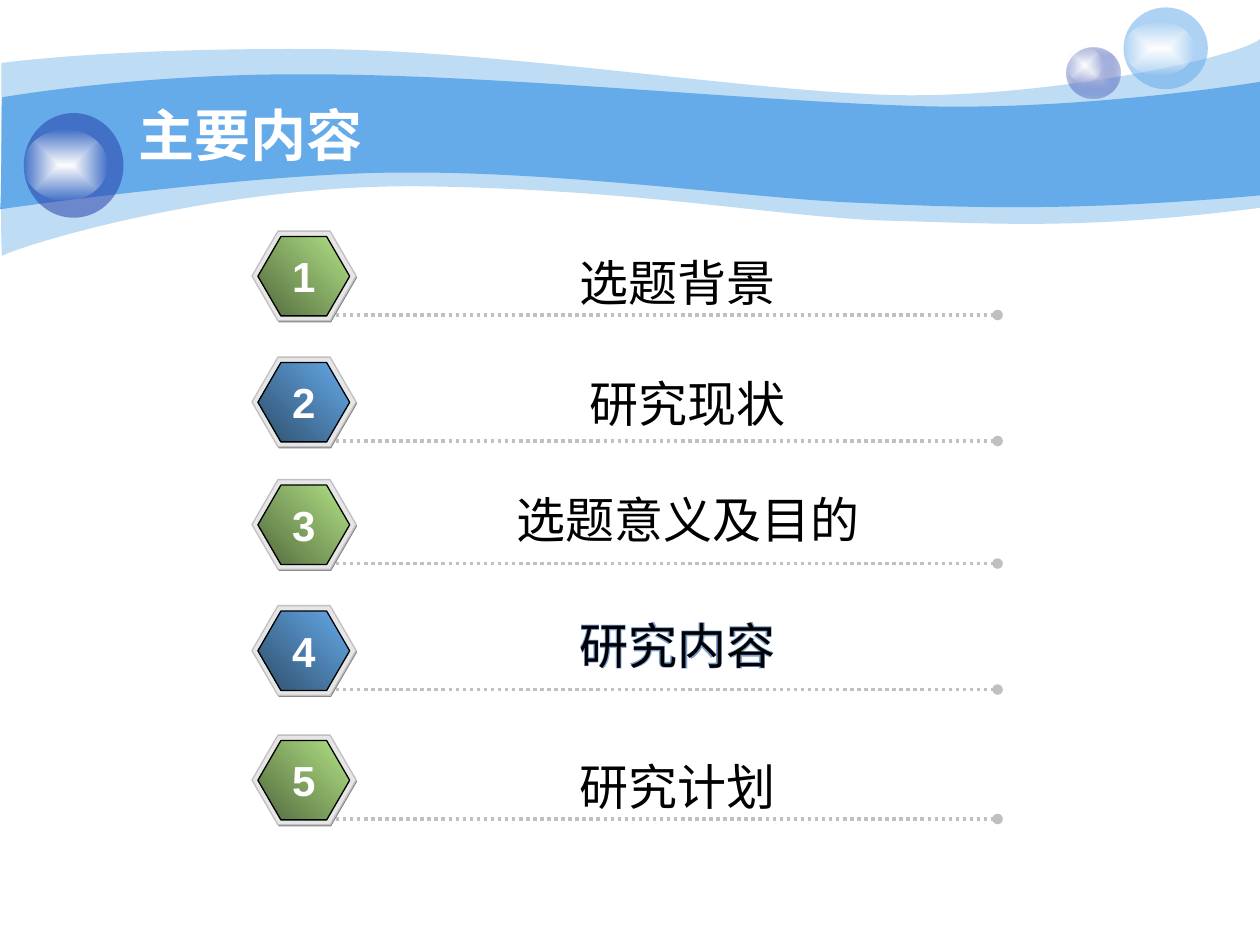
from dataclasses import dataclass
from typing import Optional

from lxml.etree import SubElement
from pptx import Presentation
from pptx.dml.color import RGBColor
from pptx.enum.dml import MSO_LINE
from pptx.enum.shapes import MSO_CONNECTOR, MSO_SHAPE
from pptx.enum.text import MSO_ANCHOR, PP_ALIGN
from pptx.oxml.ns import qn
from pptx.util import Cm, Pt

WHITE = RGBColor(0xFF, 0xFF, 0xFF)
BLACK = RGBColor(0x00, 0x00, 0x00)
SKY = RGBColor(0x65, 0xAA, 0xE9)
NAVY = RGBColor(0x23, 0x3D, 0xA9)
LAVENDER = RGBColor(0xC7, 0xCE, 0xE9)
HALO_BLUE = RGBColor(0x7D, 0xA0, 0xD3)
SILVER = RGBColor(0xC0, 0xC0, 0xC0)
PALE_GRAY = RGBColor(0xE6, 0xE6, 0xE6)
SHADE_GRAY = RGBColor(0x80, 0x80, 0x80)
GREEN = (RGBColor(0xB2, 0xE3, 0x85), RGBColor(0x52, 0x69, 0x3E))
BLUE = (SKY, RGBColor(0x2F, 0x4F, 0x6C))
FONT = "Arial"


@dataclass
class Box:
    left: float
    top: float
    width: float
    height: float

    def lengths(self) -> tuple:
        return Cm(self.left), Cm(self.top), Cm(self.width), Cm(self.height)


@dataclass
class Bubble:
    body: Box
    glint: Box
    colors: tuple
    alphas: tuple


@dataclass
class Topic:
    text: str
    top: float
    label_left: float
    label_top: float
    halo: Optional[RGBColor] = None


UPPER_WAVE = (
    [(0.03, 1.27), (0.64, 1.19), (2.74, 0.97), (6.27, 0.99), (9.8, 0.99), (14.63, 1.78),
     (17.75, 1.91), (20.88, 2.03), (24.89, 1.19), (25.4, 0.79)],
    [(25.4, 4.19), (21.79, 4.65), (20.02, 4.5), (17.91, 4.45), (15.8, 4.39), (13.08, 3.84),
     (8.74, 3.76), (4.37, 3.66), (0.13, 5.05), (0.05, 5.16), (0, 5.28), (0.03, 1.9), (0.03, 1.27)],
)
LOWER_WAVE = (
    [(0.05, 1.96), (0.08, 1.96), (2.82, 1.47), (6.32, 1.5), (9.83, 1.5), (15.14, 2.03),
     (18.26, 2.13), (21.36, 2.26), (24.79, 1.75), (25.4, 1.65)],
    [(25.4, 3.94), (21.67, 4.27), (19.46, 4.19), (17.32, 4.09), (15.21, 4.01), (11.38, 3.45),
     (8.08, 3.48), (5.18, 3.48), (-0.03, 4.22), (0, 4.22), (0.03, 4.22), (0.03, 1.96), (0.05, 1.96)],
)
BUBBLES = [
    Bubble(Box(21.51, 0.97, 1.07, 1.02), Box(21.51, 0.97, 0.71, 0.69), (LAVENDER, NAVY), (100, 31)),
    Bubble(Box(22.65, 0.15, 1.7, 1.65), Box(22.65, 0.43, 1.42, 1.09), (SKY,), (53,)),
    Bubble(Box(0.48, 2.28, 2.01, 2.11), Box(0.48, 2.62, 1.68, 1.42), (NAVY,), (53,)),
]
TOPICS = [
    Topic("选题背景", 4.66, 7.41, 4.96),
    Topic("研究现状", 7.2, 7.61, 7.41),
    Topic("选题意义及目的", 9.67, 7.62, 9.74),
    Topic("研究内容", 12.21, 7.41, 12.28, HALO_BLUE),
    Topic("研究计划", 14.82, 7.41, 15.12),
]


def set_alphas(shape, alphas: tuple) -> None:
    for color, alpha in zip(shape.element.spPr.iter(qn("a:srgbClr")), alphas):
        SubElement(color, qn("a:alpha")).set("val", str(alpha * 1000))


def fill_gradient(shape, colors: tuple) -> None:
    shape.fill.gradient()
    for stop, color in zip(shape.fill.gradient_stops, colors):
        stop.color.rgb = color


def make_gradient_rectangular(shape) -> None:
    gradient = shape.element.spPr.find(qn("a:gradFill"))
    gradient.remove(gradient.find(qn("a:lin")))
    center = SubElement(gradient, qn("a:path"))
    center.set("path", "rect")
    rectangle = SubElement(center, qn("a:fillToRect"))
    for side in "ltrb":
        rectangle.set(side, "50000")


def bend_segments(shape, edges: tuple) -> None:
    segments = list(shape.element.spPr.iter(qn("a:lnTo")))
    first_length = len(edges[0]) - 1
    for chain in (segments[:first_length], segments[first_length + 1:]):
        for index in range(0, len(chain), 3):
            curve, *followers = chain[index:index + 3]
            bezier = curve.makeelement(qn("a:cubicBezTo"))
            curve.addprevious(bezier)
            for segment in (curve, *followers):
                bezier.append(segment.find(qn("a:pt")))
                segment.getparent().remove(segment)


def draw_wave(slide, edges: tuple, alpha: int) -> None:
    points = [(Cm(x), Cm(y)) for edge in edges for x, y in edge]
    builder = slide.shapes.build_freeform(*points[0])
    builder.add_line_segments(points[1:], close=True)
    wave = builder.convert_to_shape()
    bend_segments(wave, edges)
    wave.shadow.inherit = False
    wave.fill.solid()
    wave.fill.fore_color.rgb = SKY
    wave.line.fill.background()
    if alpha < 100:
        set_alphas(wave, (alpha,))


def draw_preset(group, kind: MSO_SHAPE, box: Box, colors: tuple, line: Optional[RGBColor] = None):
    shape = group.shapes.add_shape(kind, *box.lengths())
    shape.shadow.inherit = False
    if len(colors) == 1:
        shape.fill.solid()
        shape.fill.fore_color.rgb = colors[0]
    else:
        fill_gradient(shape, colors)
    if line is None:
        shape.line.fill.background()
    else:
        shape.line.color.rgb = line
        shape.line.width = Pt(0.75)
    return shape


def draw_bubble(slide, bubble: Bubble) -> None:
    group = slide.shapes.add_group_shape()
    for box, colors, alphas in (
        (bubble.body, bubble.colors, bubble.alphas),
        (bubble.glint, (WHITE, WHITE), (100, 0)),
    ):
        ellipse = draw_preset(group, MSO_SHAPE.OVAL, box, colors)
        set_alphas(ellipse, alphas)
        if len(colors) == 2:
            make_gradient_rectangular(ellipse)


def draw_text(slide, text: str, box: Box, size: int, color: RGBColor, bold: bool = False,
              alignment: PP_ALIGN = PP_ALIGN.CENTER, wrap: bool = True,
              anchor: MSO_ANCHOR = MSO_ANCHOR.TOP) -> None:
    frame = slide.shapes.add_textbox(*box.lengths()).text_frame
    frame.word_wrap = wrap
    frame.vertical_anchor = anchor
    paragraph = frame.paragraphs[0]
    paragraph.text = text
    paragraph.alignment = alignment
    paragraph.font.name = FONT
    paragraph.font.size = Pt(size)
    paragraph.font.bold = bold
    paragraph.font.color.rgb = color


def draw_badge(slide, top: float, colors: tuple) -> None:
    group = slide.shapes.add_group_shape()
    for box, fill, line in (
        (Box(5.1, top + 0.03, 2.1, 1.81), (SHADE_GRAY,), None),
        (Box(5.08, top, 2.1, 1.81), (PALE_GRAY,), SILVER),
        (Box(5.2, top + 0.11, 1.85, 1.6), colors, BLACK),
    ):
        hexagon = draw_preset(group, MSO_SHAPE.HEXAGON, box, fill, line)
        hexagon.adjustments[0] = 0.29
        if len(fill) == 2:
            hexagon.fill.gradient_angle = 225


def draw_rule(slide, y: float) -> None:
    rule = slide.shapes.add_connector(MSO_CONNECTOR.STRAIGHT, Cm(6.77), Cm(y), Cm(20.11), Cm(y))
    rule.line.color.rgb = SILVER
    rule.line.width = Pt(2)
    rule.line.dash_style = MSO_LINE.ROUND_DOT
    SubElement(rule.element.spPr.find(qn("a:ln")), qn("a:tailEnd")).set("type", "oval")
    SubElement(rule.element.spPr, qn("a:effectLst"))


def draw_topic(slide, number: int, topic: Topic) -> None:
    draw_badge(slide, topic.top, GREEN if number % 2 else BLUE)
    draw_rule(slide, topic.top + 1.69)
    label = Box(topic.label_left, topic.label_top, 12.5, 1.45)
    if topic.halo is not None:
        draw_text(slide, topic.text, label, 28, topic.halo, bold=True)
    draw_text(slide, topic.text, label, 28, BLACK)
    draw_text(slide, str(number), Box(5.64, topic.top + 0.27, 0.97, 1.27), 24, WHITE, bold=True, wrap=False)


def main() -> None:
    presentation = Presentation()
    presentation.slide_width, presentation.slide_height = Cm(25.4), Cm(19.05)
    slide = presentation.slides.add_slide(presentation.slide_layouts[6])
    draw_wave(slide, UPPER_WAVE, 41)
    draw_wave(slide, LOWER_WAVE, 100)
    for bubble in BUBBLES:
        draw_bubble(slide, bubble)
    draw_text(slide, "主要内容", Box(2.54, 2.24, 20.52, 0.94), 32, WHITE, bold=True,
              alignment=PP_ALIGN.LEFT, anchor=MSO_ANCHOR.MIDDLE)
    for number, topic in enumerate(TOPICS, start=1):
        draw_topic(slide, number, topic)
    presentation.save("out.pptx")


if __name__ == "__main__":
    main()
